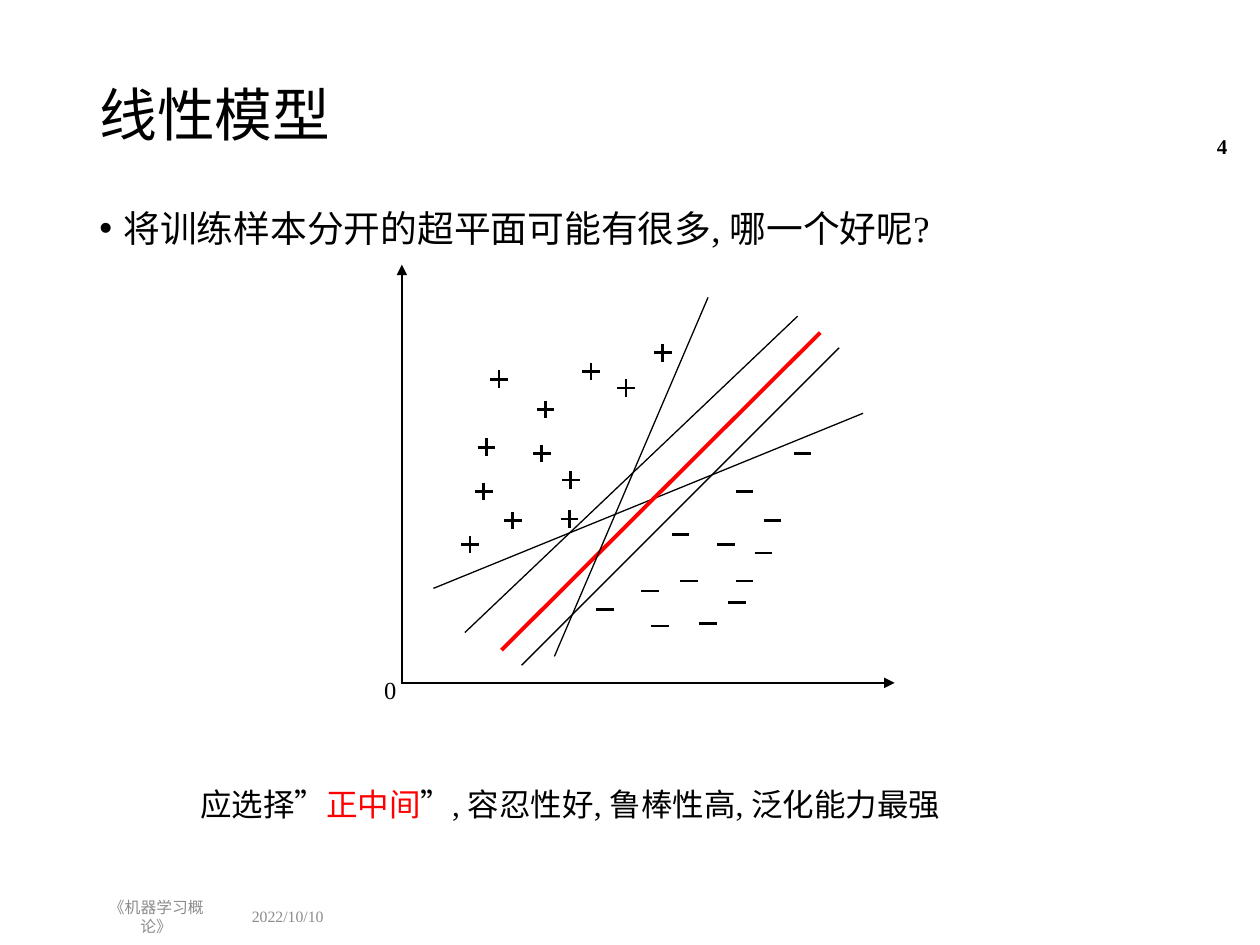
"""Build a slide on choosing the middle separating line of a linear model."""
from lxml import etree
from pptx import Presentation
from pptx import util as u
from pptx.dml.color import RGBColor
from pptx.enum import shapes, text
from pptx.oxml import ns

BLACK = RGBColor(0x00, 0x00, 0x00)
RED = RGBColor(0xFF, 0x00, 0x00)
GRAY = RGBColor(0x8C, 0x8C, 0x8C)
FONT = "Times New Roman"
LEFT, CENTER, RIGHT = text.PP_ALIGN.LEFT, text.PP_ALIGN.CENTER, text.PP_ALIGN.RIGHT
TOP, MIDDLE = text.MSO_ANCHOR.TOP, text.MSO_ANCHOR.MIDDLE

presentation = Presentation()
presentation.slide_width, presentation.slide_height = u.Inches(10), u.Inches(7.5)
slide = presentation.slides.add_slide(presentation.slide_layouts[6])
CELL = presentation.slide_width / 100
ARM = 0.7


def add_text(box, runs, size, anchor=TOP, align=LEFT, spacing=1.0, bullet=False, wrap=True):
    shape = slide.shapes.add_textbox(*(round(value * CELL) for value in box))
    frame = shape.text_frame
    frame.word_wrap = wrap
    frame.vertical_anchor = anchor
    paragraph = frame.paragraphs[0]
    paragraph.alignment = align
    paragraph.line_spacing = spacing
    if bullet:
        properties = paragraph._p.get_or_add_pPr()
        properties.set("marL", str(u.Inches(0.19)))
        properties.set("indent", str(-u.Inches(0.19)))
        etree.SubElement(properties, ns.qn("a:buFont")).set("typeface", "Arial")
        etree.SubElement(properties, ns.qn("a:buChar")).set("char", "•")
    for words, color in runs:
        run = paragraph.add_run()
        run.text = words
        run.font.name = FONT
        run.font.size = u.Pt(size)
        run.font.color.rgb = color
    return paragraph


def add_line(start, end, width=1.5, color=BLACK, arrow=False):
    ends = (round(value * CELL) for value in (*start, *end))
    line = slide.shapes.add_connector(shapes.MSO_CONNECTOR.STRAIGHT, *ends)
    line.line.width = u.Pt(width)
    line.line.color.rgb = color
    if arrow:
        etree.SubElement(line.line._get_or_add_ln(), ns.qn("a:tailEnd")).set("type", "triangle")
    etree.SubElement(line._element.spPr, ns.qn("a:effectLst"))


add_text((6.9, 4, 86.2, 10.7), [("线性模型", BLACK)], 33, MIDDLE, spacing=0.9)
add_text((6.9, 16.2, 86.2, 53.9), [("将训练样本分开的超平面可能有很多, 哪一个好呢?", BLACK)], 21,
         spacing=0.9, bullet=True)
add_text((19, 71.3, 9.1, 2.9), [("2022/10/10", GRAY)], 9, MIDDLE)
add_text((6.9, 71.3, 11, 2.9), [("《机器学习概论》", GRAY)], 9, MIDDLE, CENTER)
page_number = add_text((91.5, 9.6, 6.9, 4), [("4", BLACK)], 12, MIDDLE, RIGHT)
page_number.runs[0].font.bold = True

add_line((31.9, 54.2), (31.9, 21), arrow=True)
add_line((31.8, 54.2), (71, 54.2), arrow=True)
add_text((29.5, 53.1, 3.6, 4.1), [("0", BLACK)], 14, wrap=False)

positive_samples = [
    (46.9, 29.5), (45.3, 38.1), (43, 36), (38.4, 39), (40.7, 41.3), (45.2, 41.2),
    (39.6, 30.1), (52.6, 28), (49.7, 30.8), (37.3, 43.2), (43.3, 32.5), (38.6, 35.5),
]
negative_samples = [
    (60.6, 43.9), (54, 42.4), (52.4, 49.7), (48, 48.4), (58.5, 47.8), (59.1, 46.1),
    (51.6, 46.9), (61.3, 41.3), (54.7, 46.1), (56.2, 49.5), (57.6, 43.2), (59.1, 39),
    (63.7, 36),
]
for column, row in positive_samples + negative_samples:
    add_line((column - ARM, row), (column + ARM, row))
for column, row in positive_samples:
    add_line((column, row - ARM), (column, row + ARM))

separating_lines = [
    ((68.5, 32.8), (34.4, 46.7), 0.75, BLACK),
    ((39.8, 51.6), (65.1, 26.4), 2.25, RED),
    ((56.2, 23.6), (44, 52.1), 0.75, BLACK),
    ((66.6, 27.6), (41.4, 52.8), 0.75, BLACK),
    ((63.3, 25.1), (36.9, 50.2), 0.75, BLACK),
]
for start, end, width, color in separating_lines:
    add_line(start, end, width, color)

conclusion = [("应选择”", BLACK), ("正中间", RED), ("”, 容忍性好, 鲁棒性高, 泛化能力最强", BLACK)]
add_text((14.9, 61.8, 69.4, 4), conclusion, 18)

presentation.save("out.pptx")
